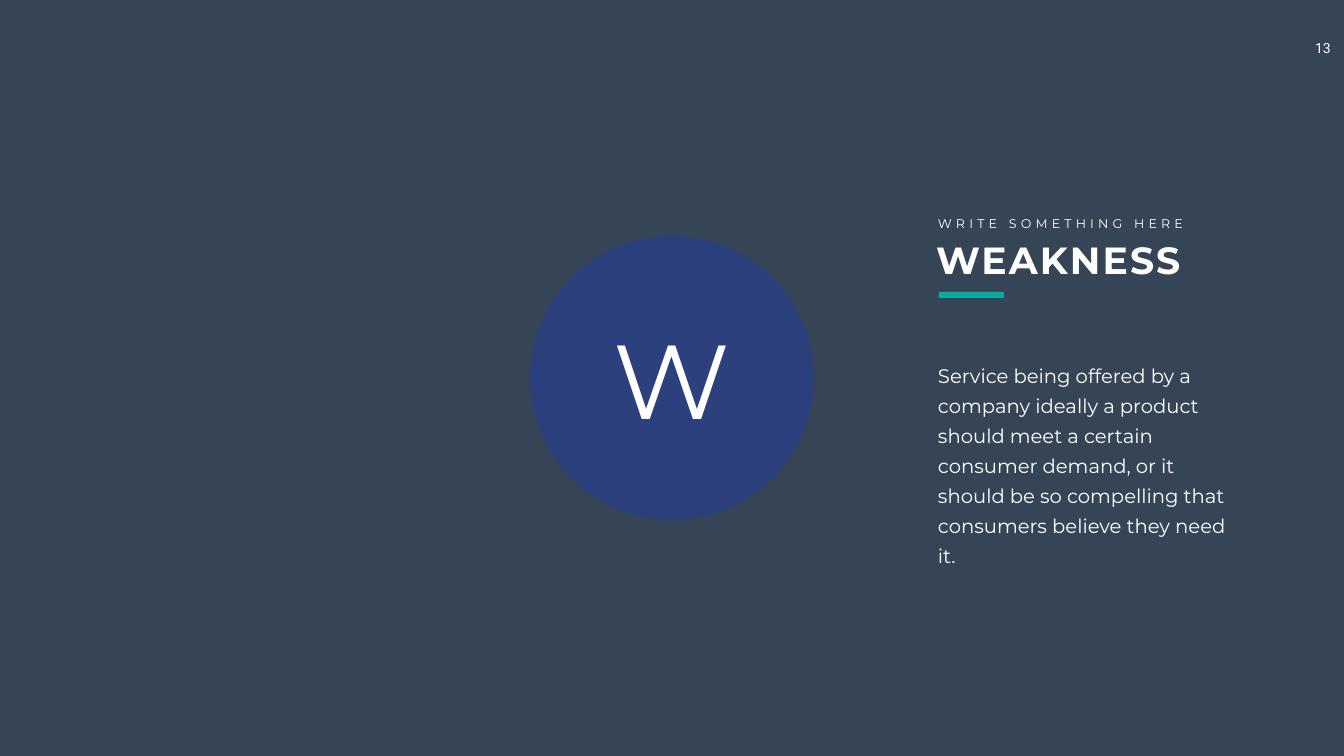
"""Build the Weakness slide of a SWOT deck."""
from pptx import Presentation
from pptx.dml.color import RGBColor
from pptx.enum.shapes import MSO_SHAPE
from pptx.enum.text import MSO_ANCHOR, MSO_AUTO_SIZE, PP_ALIGN
from pptx.util import Pt

SLATE = RGBColor(0x36, 0x45, 0x56)
BLUE = RGBColor(0x2C, 0x40, 0x7E)
TEAL = RGBColor(0x08, 0xAA, 0xA2)
WHITE = RGBColor(0xFF, 0xFF, 0xFF)

PX = 18143
SLIDE_SIZE = (1344, 756)

HEADING = dict(text="WEAKNESS", at=(931, 235, 332, 51), size=54, bold=True, tracking=3)
TEXTS = [
    dict(text="13", at=(1300, 34, 46, 27), size=20, font="Roboto",
         align=PP_ALIGN.CENTER, inset=(10, 5), wrap=False),
    dict(text="W", at=(586, 312, 172, 133), size=150, align=PP_ALIGN.CENTER),
    dict(text="WRITE SOMETHING HERE", at=(933, 214, 261, 20), size=18, tracking=6, wrap=False),
    dict(text="Service being offered by a company ideally a product should meet "
              "a certain consumer demand, or it should be so compelling that "
              "consumers believe they need it.",
         at=(926, 351, 332, 192), size=28, inset=(12, 6), leading=43),
]
SHAPES = [
    (MSO_SHAPE.OVAL, (530, 236, 284, 284), BLUE),
    (MSO_SHAPE.RECTANGLE, (939, 292, 65, 6), TEAL),
]


def emu(lengths):
    return [length * PX for length in lengths]


def write(box, text, at, size, font="Montserrat", bold=False, tracking=0,
          align=PP_ALIGN.LEFT, inset=(5, 2), wrap=True, leading=None):
    box.left, box.top, box.width, box.height = emu(at)
    frame = box.text_frame
    frame.word_wrap = wrap
    frame.auto_size = MSO_AUTO_SIZE.NONE
    frame.vertical_anchor = MSO_ANCHOR.TOP
    frame.margin_left = frame.margin_right = inset[0] * PX
    frame.margin_top = frame.margin_bottom = inset[1] * PX
    paragraph = frame.paragraphs[0]
    paragraph.alignment = align
    if leading:
        paragraph.line_spacing = Pt(leading)
    run = paragraph.add_run()
    run.text = text
    run.font.name = font
    run.font.size = Pt(size)
    run.font.bold = bold
    run.font.color.rgb = WHITE
    if tracking:
        run._r.get_or_add_rPr().set("spc", str(tracking * 100))


def add_shape(slide, kind, at, color):
    shape = slide.shapes.add_shape(kind, *emu(at))
    shape.shadow.inherit = False
    shape.fill.solid()
    shape.fill.fore_color.rgb = color
    shape.line.fill.background()


def main():
    deck = Presentation()
    deck.slide_width, deck.slide_height = emu(SLIDE_SIZE)
    slide = deck.slides.add_slide(deck.slide_layouts[5])
    slide.background.fill.solid()
    slide.background.fill.fore_color.rgb = SLATE
    write(slide.shapes.title, **HEADING)
    for kind, at, color in SHAPES:
        add_shape(slide, kind, at, color)
    for content in TEXTS:
        write(slide.shapes.add_textbox(*emu(content["at"])), **content)
    deck.save("out.pptx")


if __name__ == "__main__":
    main()
